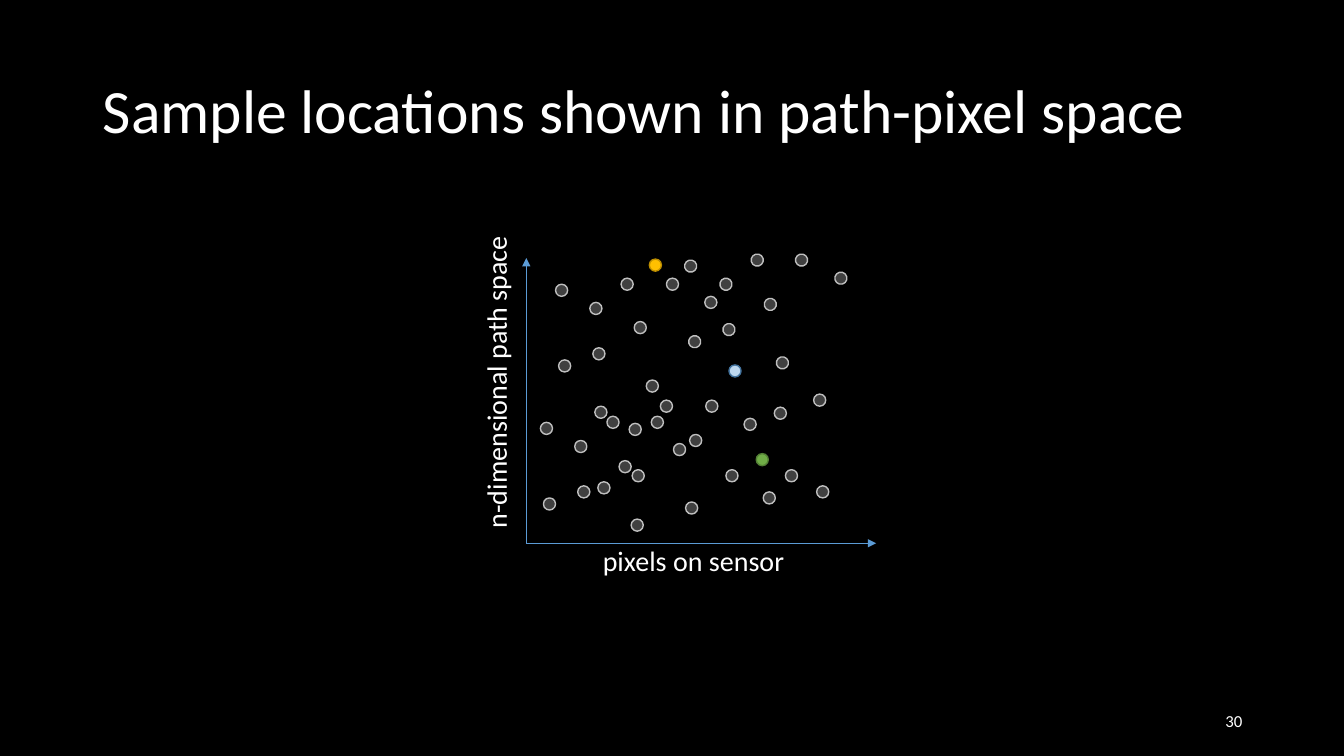
from lxml import etree
from pptx import Presentation
from pptx.dml.color import RGBColor
from pptx.enum import shapes, text
from pptx.oxml import ns
from pptx.util import Inches, Pt

TITLE = "Sample locations shown in path-pixel space"
PATH_AXIS = "n-dimensional path space"
PIXEL_AXIS = "pixels on sensor"
SLIDE_NUMBER = "30"
FONT = "Calibri"
COLORS = {
    "background": "000000", "text": "FFFFFF", "axis": "5B9BD5",
    "sample": "404040", "sample edge": "BFBFBF",
    "green": "70AD47", "green edge": "538035",
    "blue": "BDD7EE", "blue edge": "43739E",
    "yellow": "FFC000", "yellow edge": "BD8E00",
}
# (color, rotation in degrees, left and top of each dot)
SAMPLES = [
    ("sample", 0, [(5.51, 2.82), (6.16, 2.76), (5.88, 3.45), (6.99, 2.94), (6.61, 2.76),
                   (5.85, 3), (5.54, 3.57), (6.41, 3.77), (6.29, 3.19)]),
    ("sample", 330, [(5.9, 4.03), (6.55, 3.97), (6.27, 4.66), (7.38, 4.15), (7, 3.97),
                     (6.24, 4.2), (5.93, 4.78), (6.8, 4.98), (6.68, 4.4)]),
    ("sample", 30, [(5.36, 4.19), (6.02, 4.13), (5.73, 4.82), (6.84, 4.31), (6.46, 4.13),
                    (5.7, 4.37), (5.39, 4.94), (6.26, 5.15), (6.14, 4.57)]),
    ("sample", 15, [(6.79, 2.58), (7.45, 2.52), (7.17, 3.21), (8.28, 2.7), (7.89, 2.52),
                    (7.14, 2.76), (6.83, 3.33), (7.7, 3.54), (7.58, 2.96)]),
    ("sample", 330, [(7.2, 4.66), (7.68, 4.04), (7.79, 4.66), (7.57, 4.88), (8.1, 4.82),
                     (8.07, 3.91)]),
    ("green", 0, [(7.5, 4.5)]),
    ("blue", 0, [(7.23, 3.62)]),
    ("yellow", 0, [(6.44, 2.57)]),
]
DOT = 0.12
ORIGIN = (5.22, 5.39)
AXIS_ENDS = [(5.22, 2.56), (8.69, 5.39)]


def color(name):
    return RGBColor.from_string(COLORS[name])


def write(box, words, size, align=text.PP_ALIGN.LEFT, anchor=text.MSO_ANCHOR.TOP, wrap=True):
    frame = box.text_frame
    frame.word_wrap = wrap
    frame.vertical_anchor = anchor
    paragraph = frame.paragraphs[0]
    paragraph.alignment = align
    run = paragraph.add_run()
    run.text = words
    run.font.name = FONT
    run.font.size = Pt(size)
    run.font.color.rgb = color("text")
    return paragraph


def add_label(slide, place, words, size, **layout):
    box = slide.shapes.add_textbox(*map(Inches, place))
    write(box, words, size, **layout)
    return box


def add_axis(slide, end):
    axis = slide.shapes.add_connector(
        shapes.MSO_CONNECTOR.STRAIGHT, *map(Inches, ORIGIN + end))
    axis.line.color.rgb = color("axis")
    axis.line.width = Pt(0.5)
    etree.SubElement(axis.line._get_or_add_ln(), ns.qn("a:tailEnd"), type="triangle")
    etree.SubElement(axis._element.spPr, ns.qn("a:effectLst"))


def add_dot(slide, left, top, fill, rotation):
    dot = slide.shapes.add_shape(
        shapes.MSO_SHAPE.OVAL, *map(Inches, (left, top, DOT, DOT)))
    dot.rotation = rotation
    dot.shadow.inherit = False
    dot.fill.solid()
    dot.fill.fore_color.rgb = color(fill)
    dot.line.color.rgb = color(f"{fill} edge")
    dot.line.width = Pt(1)


def main():
    deck = Presentation()
    deck.slide_width, deck.slide_height = Inches(13.33), Inches(7.5)
    slide = deck.slides.add_slide(deck.slide_layouts[5])
    slide.background.fill.solid()
    slide.background.fill.fore_color.rgb = color("background")

    title = slide.shapes.title
    title.left, title.top, title.width, title.height = map(Inches, (0.92, 0.4, 11.5, 1.45))
    write(title, TITLE, 44, anchor=text.MSO_ANCHOR.MIDDLE).line_spacing = 0.9
    add_label(slide, (9.42, 6.95, 3, 0.4), SLIDE_NUMBER, 12,
              align=text.PP_ALIGN.RIGHT, anchor=text.MSO_ANCHOR.MIDDLE)

    for end in AXIS_ENDS:
        add_axis(slide, end)
    add_label(slide, (3.32, 3.52, 3.2, 0.44), PATH_AXIS, 20).rotation = 270
    add_label(slide, (5.88, 5.34, 2.02, 0.44), PIXEL_AXIS, 20, wrap=False)

    for fill, rotation, places in SAMPLES:
        for left, top in places:
            add_dot(slide, left, top, fill, rotation)

    deck.save("out.pptx")


if __name__ == "__main__":
    main()
